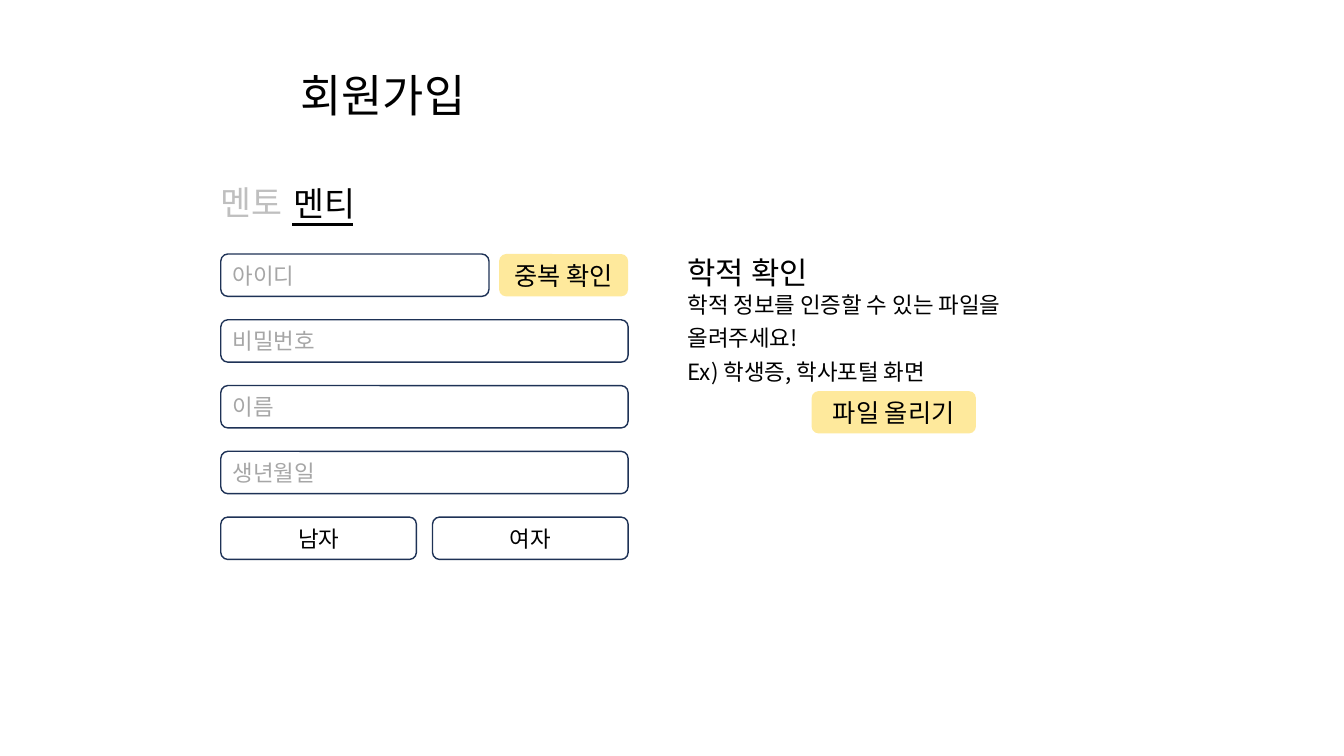
from lxml import etree
from pptx import Presentation
from pptx.dml.color import RGBColor
from pptx.enum.shapes import MSO_CONNECTOR, MSO_SHAPE
from pptx.enum.text import MSO_ANCHOR, PP_ALIGN
from pptx.oxml.ns import qn
from pptx.util import Inches, Pt

FONT = "Noto Sans CJK KR"
COLORS = {"text": "000000", "hint": "A6A6A6", "inactive": "BFBFBF",
          "border": "1E3256", "button": "FEE99C"}

# Form rows: (label, left, width, style)
LEFT, FORM_W, HALF_W = 2.19, 4.04, 1.94
FORM_ROWS = [
    [("아이디", LEFT, 2.66, "field"), ("중복 확인", 4.95, 1.28, "button")],
    [("비밀번호", LEFT, FORM_W, "field")],
    [("이름", LEFT, FORM_W, "field")],
    [("생년월일", LEFT, FORM_W, "field")],
    [("남자", LEFT, HALF_W, "choice"),
     ("여자", LEFT + FORM_W - HALF_W, HALF_W, "choice")],
]
FORM_TOP, ROW_STEP, BOX_H = 2.52, 0.6525, 0.42
UPLOAD = ("파일 올리기", 8.05, 1.63, "button")
UPLOAD_TOP = 3.88

# Box styles: text size, text colour, alignment
STYLES = {
    "field": (16, "hint", PP_ALIGN.LEFT),
    "choice": (16, "text", PP_ALIGN.CENTER),
    "button": (18, "text", PP_ALIGN.CENTER),
}

# Texts: (lines, (left, top, width, height), size, colour, left inset,
#         top inset, anchor, line spacing)
MIDDLE, TOP = MSO_ANCHOR.MIDDLE, MSO_ANCHOR.TOP
TEXTS = [
    (["회원가입"], (2.98, 0.43, 3, 1.01), 32, "text", 0, 0.05, MIDDLE, 1),
    (["멘토"], (LEFT, 1.77, 0.95, 0.47), 24, "inactive", 0, 0.05, MIDDLE, 1),
    (["멘티"], (2.81, 1.78, 3.1, 0.47), 24, "text", 0.1, 0.05, MIDDLE, 1),
    (["학적 확인"], (6.82, 2.52, 4.32, 0.42), 22, "text", 0, 0, TOP, 1),
    (["학적 정보를 인증할 수 있는 파일을 올려주세요!",
      "Ex) 학생증, 학사포털 화면"],
     (6.82, 3, 4.1, 0.64), 16, "text", 0, 0.05, MIDDLE, 1.25),
]
TAB_UNDERLINE = (2.9, 2.23, 3.5, 2.23)


def rgb(name):
    return RGBColor.from_string(COLORS[name])


def write(tf, lines, size, color, align=PP_ALIGN.LEFT, anchor=MIDDLE, spacing=1):
    tf.word_wrap = True
    tf.vertical_anchor = anchor
    for i, line in enumerate(lines):
        p = tf.add_paragraph() if i else tf.paragraphs[0]
        p.alignment, p.line_spacing = align, spacing
        r = p.add_run()
        r.text = line
        font = p.font
        font.name, font.size = FONT, Pt(size)
        font.color.rgb = rgb(color)
        # Hangul takes the East Asian typeface
        ea = etree.SubElement(p._p.pPr.find(qn("a:defRPr")), qn("a:ea"))
        ea.set("typeface", FONT)


def add_box(s, label, left, top, width, style):
    sp = s.shapes.add_shape(MSO_SHAPE.ROUNDED_RECTANGLE, Inches(left),
                            Inches(top), Inches(width), Inches(BOX_H))
    sp.shadow.inherit = False
    if style == "button":
        sp.fill.solid()
        sp.fill.fore_color.rgb = rgb("button")
        sp.line.fill.background()
    else:
        sp.fill.background()
        sp.line.color.rgb = rgb("border")
        sp.line.width = Pt(1)
    size, color, align = STYLES[style]
    write(sp.text_frame, [label], size, color, align)


prs = Presentation()
prs.slide_width, prs.slide_height = Inches(13.33), Inches(7.5)
s = prs.slides.add_slide(prs.slide_layouts[6])

# Sign-up form and upload button
for row, boxes in enumerate(FORM_ROWS):
    for label, left, width, style in boxes:
        add_box(s, label, left, FORM_TOP + row * ROW_STEP, width, style)
label, left, width, style = UPLOAD
add_box(s, label, left, UPLOAD_TOP, width, style)

# Title, tabs and school record text
for lines, place, size, color, inset_l, inset_t, anchor, spacing in TEXTS:
    tf = s.shapes.add_textbox(*map(Inches, place)).text_frame
    tf.margin_left, tf.margin_top = Inches(inset_l), Inches(inset_t)
    write(tf, lines, size, color, anchor=anchor, spacing=spacing)

# Underline of the active tab
line = s.shapes.add_connector(MSO_CONNECTOR.STRAIGHT, *map(Inches, TAB_UNDERLINE))
line.line.color.rgb = rgb("text")
line.line.width = Pt(2.25)
etree.SubElement(line._element.spPr, qn("a:effectLst"))

prs.save("out.pptx")
